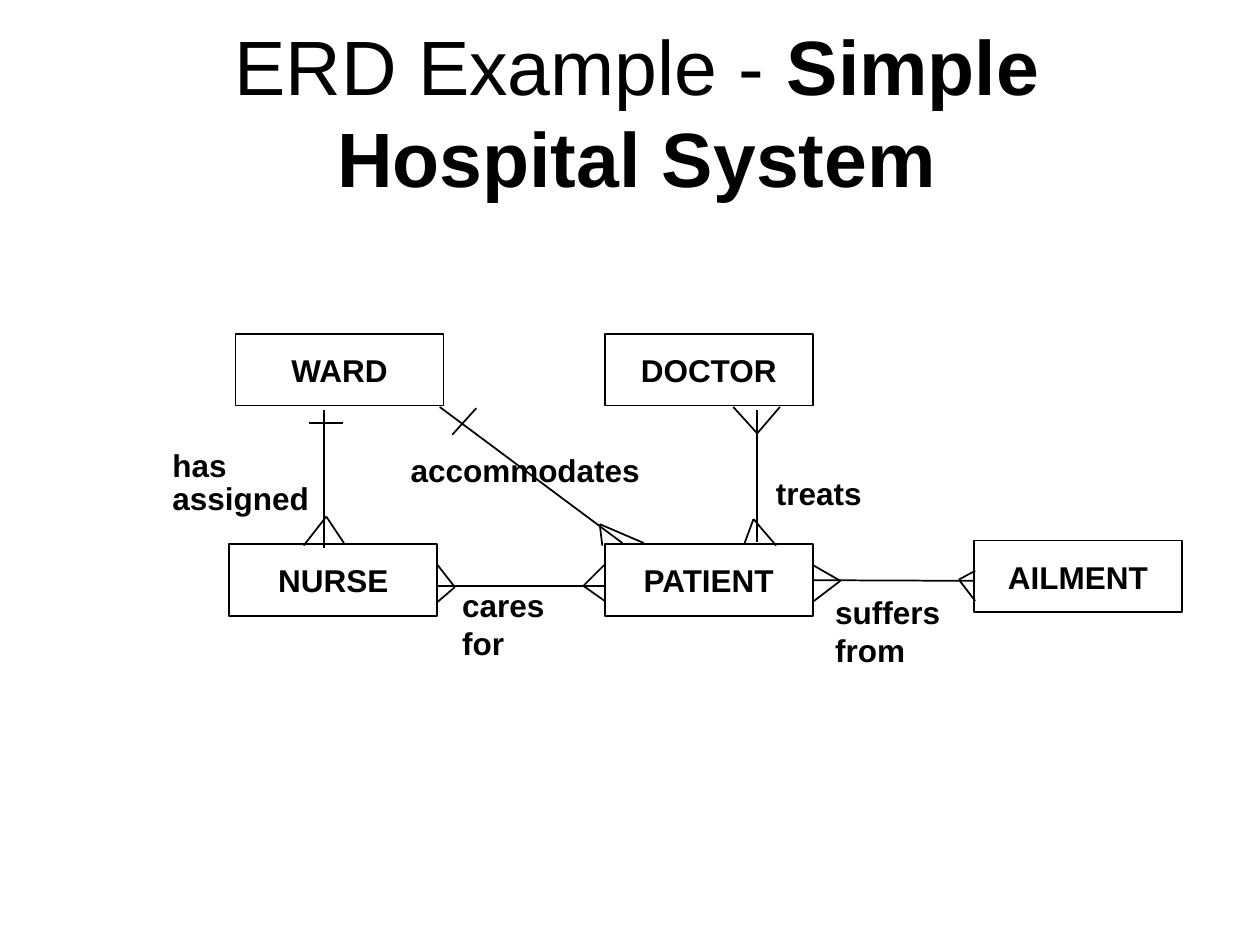
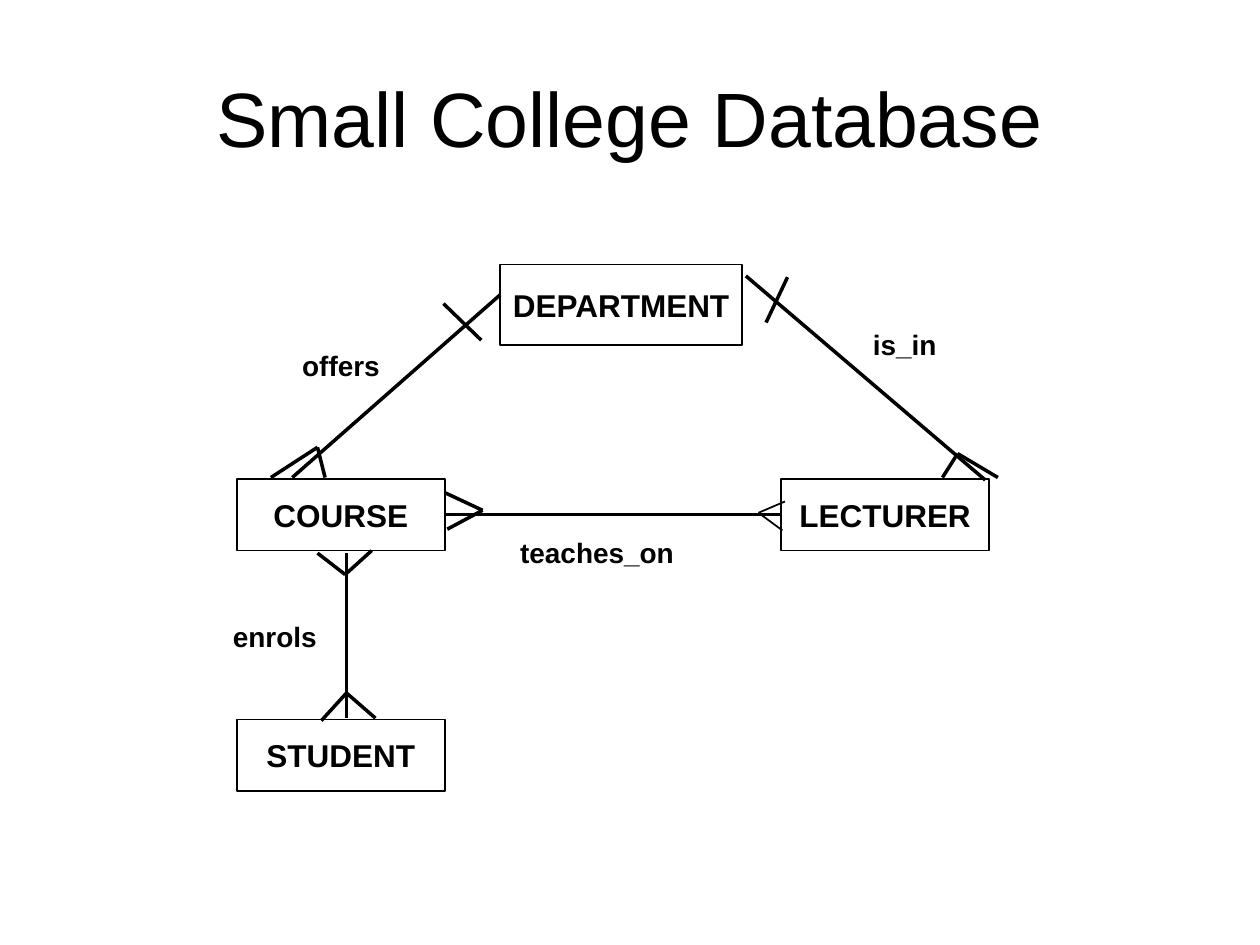
from lxml.etree import SubElement
from pptx import Presentation
from pptx.dml.color import RGBColor
from pptx.enum.shapes import MSO_CONNECTOR as Connector, MSO_SHAPE as Shape
from pptx.enum.text import MSO_ANCHOR as Anchor, MSO_AUTO_SIZE as AutoSize, PP_ALIGN as Align
from pptx.oxml.ns import qn
from pptx.util import Emu, Pt

PX = 9144
COLORS = {"ink": "000000", "paper": "FFFFFF"}
ENTITY_SIZE = (165, 57)


class ErdDeck:
    """Draws entity-relationship diagrams in one style, slide by slide."""

    def __init__(self):
        self.prs = Presentation()
        self.prs.slide_width, self.prs.slide_height = self.emu(1000, 750)
        self.shapes = None
        self.label_size = self.weight = None

    def emu(self, *lengths):
        return [Emu(length * PX) for length in lengths]

    def color(self, name):
        return RGBColor.from_string(COLORS[name])

    def style(self, paragraph, size, bold=None, align=Align.LEFT):
        paragraph.alignment = align
        font = paragraph.font
        font.name, font.size, font.bold = "Arial", Pt(size), bold
        font.color.rgb = self.color("ink")

    def start_slide(self, label_size, weight):
        self.shapes = self.prs.slides.add_slide(self.prs.slide_layouts[6]).shapes
        self.label_size, self.weight = label_size, weight

    def title(self, box, plain, strong=""):
        frame = self.shapes.add_textbox(*self.emu(*box)).text_frame
        frame.word_wrap = True
        frame.vertical_anchor = Anchor.MIDDLE
        paragraph = frame.paragraphs[0]
        paragraph.add_run().text = plain
        if strong:
            run = paragraph.add_run()
            run.text, run.font.bold = strong, True
        self.style(paragraph, 44, align=Align.CENTER)

    def entity(self, name, left, top, size=ENTITY_SIZE):
        entity = self.shapes.add_shape(Shape.RECTANGLE, *self.emu(left, top, *size))
        entity.shadow.inherit = False
        entity.fill.solid()
        entity.fill.fore_color.rgb = self.color("paper")
        entity.line.color.rgb = self.color("ink")
        entity.line.width = Pt(1)
        frame = entity.text_frame
        frame.word_wrap = False
        frame.vertical_anchor = Anchor.MIDDLE
        frame.text = name
        self.style(frame.paragraphs[0], 18, True, Align.CENTER)
        return entity

    def label(self, text, left, top, width, height):
        frame = self.shapes.add_textbox(*self.emu(left, top, width, height)).text_frame
        frame.word_wrap = False
        frame.auto_size = AutoSize.SHAPE_TO_FIT_TEXT
        frame.text = text
        for paragraph in frame.paragraphs:
            self.style(paragraph, self.label_size, True)

    def line(self, start, end, weight=None, source=None, target=None):
        line = self.shapes.add_connector(Connector.STRAIGHT, *self.emu(*start, *end))
        line.line.color.rgb = self.color("ink")
        line.line.width = Pt(weight or self.weight)
        SubElement(line._element.spPr, qn("a:effectLst"))
        if source:
            line.begin_connect(source, 3)
        if target:
            line.end_connect(target, 1)

    def crow_foot(self, tip, *toes, weight=None):
        for toe in toes:
            self.line(tip, toe, weight)


def hospital(deck):
    deck.start_slide(label_size=18, weight=1)
    deck.title((90, 35, 831, 106), "ERD Example - ", "Simple Hospital System")
    deck.entity("WARD", 187, 265)
    deck.entity("NURSE", 182, 432)
    patient = deck.entity("PATIENT", 480, 432)
    deck.entity("DOCTOR", 480, 265)
    deck.entity("AILMENT", 773, 429)

    deck.line((257, 325), (257, 435))
    deck.line((245, 336), (272, 336))
    deck.crow_foot((259, 410), (241, 433), (273, 431))
    deck.label("has", 127, 349, 63, 40)
    deck.label("assigned", 127, 375, 129, 40)

    deck.line((349, 323), (494, 431))
    deck.line((378, 324), (359, 345))
    deck.crow_foot((476, 416), (511, 431), (478, 433))
    deck.label("accommodates", 316, 353, 202, 40)

    deck.line((601, 325), (601, 430))
    deck.crow_foot((601, 344), (619, 323), (582, 323))
    deck.crow_foot((598, 412), (616, 433), (591, 431))
    deck.label("treats", 606, 371, 88, 40)

    deck.line((348, 465), (481, 465))
    deck.crow_foot((361, 466), (347, 448), (347, 478))
    deck.crow_foot((463, 465), (480, 448), (480, 477))
    deck.label("cares\nfor", 357, 460, 86, 70)

    deck.line((646, 461), (774, 461), source=patient)
    deck.crow_foot((667, 461), (646, 449), (646, 477))
    deck.crow_foot((761, 460), (774, 453), (774, 477))
    deck.label("suffers\nfrom", 653, 466, 104, 70)


def college(deck):
    deck.start_slide(label_size=16, weight=2)
    deck.title((50, 30, 900, 125), "Small College Database")
    deck.entity("DEPARTMENT", 397, 210, (192, 64))
    lecturer = deck.entity("LECTURER", 620, 380)
    deck.entity("STUDENT", 188, 571)
    course = deck.entity("COURSE", 188, 380)

    deck.line((397, 234), (232, 379))
    deck.line((352, 241), (382, 270))
    deck.crow_foot((252, 355), (258, 379), (215, 379))
    deck.label("offers", 230, 272, 82, 37)

    deck.line((592, 219), (782, 381))
    deck.line((625, 220), (608, 256))
    deck.crow_foot((760, 360), (748, 379), (792, 379))
    deck.label("is_in", 683, 255, 71, 37)

    deck.line((355, 407), (622, 407), source=course, target=lecturer)
    deck.crow_foot((383, 405), (353, 391), (355, 420))
    deck.crow_foot((602, 407), (623, 398), (621, 421), weight=1)
    deck.label("teaches_on", 403, 420, 142, 37)

    deck.line((275, 439), (275, 570))
    deck.crow_foot((274, 456), (295, 437), (252, 439))
    deck.crow_foot((275, 550), (298, 570), (255, 572))
    deck.label("enrols", 175, 487, 87, 37)


def main():
    deck = ErdDeck()
    hospital(deck)
    college(deck)
    deck.prs.save("out.pptx")


if __name__ == "__main__":
    main()
